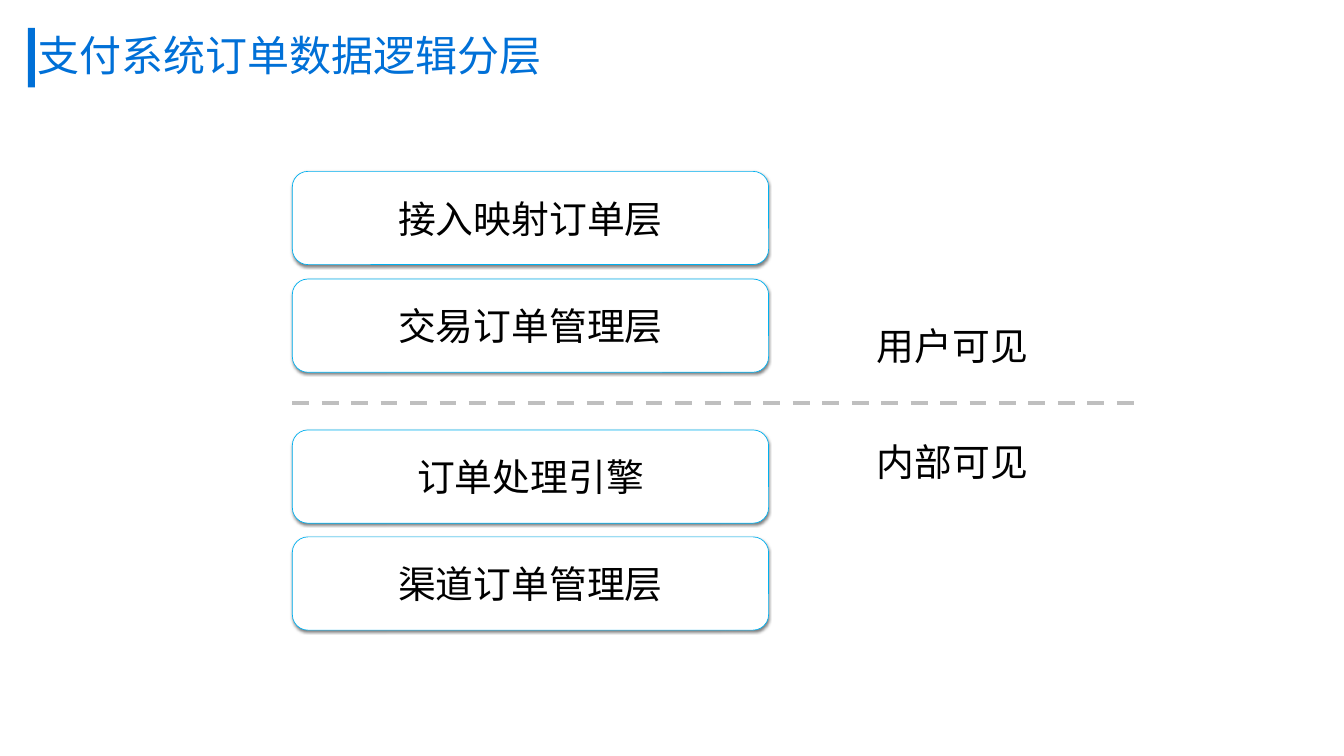
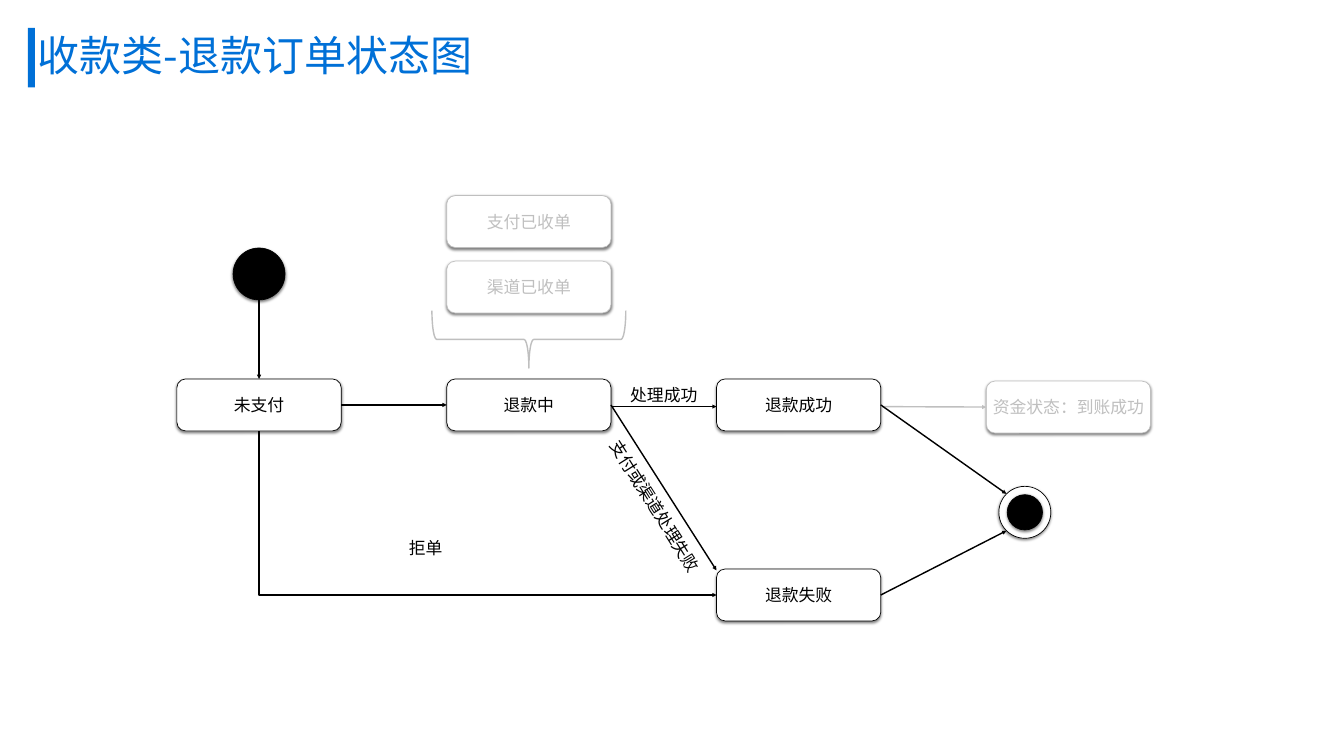
import lxml.etree
import pptx
import pptx.dml.color
import pptx.enum.dml
import pptx.enum.shapes
import pptx.enum.text
import pptx.oxml.ns
import pptx.util

Pt = pptx.util.Pt
SHAPE = pptx.enum.shapes.MSO_SHAPE
CONNECTOR = pptx.enum.shapes.MSO_CONNECTOR
ALIGN = pptx.enum.text.PP_ALIGN
ANCHOR = pptx.enum.text.MSO_ANCHOR
qn = pptx.oxml.ns.qn

FONT = "Noto Sans CJK SC"
COLORS = {
    "title": "0070D7",
    "layer": "00B0F0",
    "ink": "000000",
    "muted": "BFBFBF",
    "paper": "FFFFFF",
}
TITLE_SIZE, LAYER_SIZE, STATE_SIZE = 60, 54, 24
STATE_W, STATE_H = 234.7, 74.2
LEFT, BOTTOM, RIGHT = 1, 2, 3


def rgb(color):
    return pptx.dml.color.RGBColor.from_string(COLORS[color])


def write(frame, text, size, color, align=ALIGN.CENTER, anchor=ANCHOR.MIDDLE, inset=0):
    frame.word_wrap = True
    frame.vertical_anchor = anchor
    frame.margin_left = frame.margin_right = Pt(inset)
    frame.margin_top = frame.margin_bottom = Pt(inset)
    paragraph = frame.paragraphs[0]
    paragraph.alignment = align
    run = paragraph.add_run()
    run.text = text
    run.font.size = Pt(size)
    run.font.name = FONT
    run.font.color.rgb = rgb(color)
    east_asian = lxml.etree.SubElement(run.font._element, qn("a:ea"))
    east_asian.set("typeface", FONT)
    return paragraph


def add_label(slide, box, text, size, rotation=0):
    label = slide.shapes.add_textbox(*map(Pt, box))
    label.rotation = rotation
    write(label.text_frame, text, size, "ink")


def add_node(slide, kind, box, line="ink", fill="paper"):
    node = slide.shapes.add_shape(kind, *map(Pt, box))
    node.fill.solid()
    node.fill.fore_color.rgb = rgb(fill)
    node.line.color.rgb = rgb(line)
    node.line.width = Pt(1)
    node.shadow.inherit = False
    effects = node._element.spPr.find(qn("a:effectLst"))
    shadow = lxml.etree.SubElement(
        effects, qn("a:outerShdw"), blurRad=str(Pt(4)), dist=str(Pt(2)),
        dir="5400000", rotWithShape="0")
    tint = lxml.etree.SubElement(shadow, qn("a:srgbClr"), val=COLORS["ink"])
    lxml.etree.SubElement(tint, qn("a:alpha"), val="50000")
    return node


def style_line(connector, color, width, arrow=False):
    connector.line.color.rgb = rgb(color)
    connector.line.width = Pt(width)
    if arrow:
        lxml.etree.SubElement(connector.line._get_or_add_ln(), qn("a:tailEnd"), type="triangle")
    lxml.etree.SubElement(connector._element.spPr, qn("a:effectLst"))


def add_title(slide, text, width):
    bar = slide.shapes.add_shape(SHAPE.RECTANGLE, Pt(40), Pt(40), Pt(10), Pt(85))
    bar.fill.solid()
    bar.fill.fore_color.rgb = rgb("title")
    bar.line.fill.background()
    bar.shadow.inherit = False
    title = slide.shapes.add_textbox(Pt(47), Pt(42.5), Pt(width), Pt(80))
    paragraph = write(title.text_frame, text, TITLE_SIZE, "title",
                      ALIGN.LEFT, ANCHOR.TOP, 7.2)
    paragraph.line_spacing = 0.9


def add_layers(slide, box, names):
    left, top, width, height = box
    layer_height = 133.2
    pitch = (height - layer_height) / (len(names) - 1)
    for i, name in enumerate(names):
        layer = add_node(slide, SHAPE.FLOWCHART_ALTERNATE_PROCESS,
                         (left, top + i * pitch, width, layer_height), "layer")
        write(layer.text_frame, name, LAYER_SIZE, "ink")


def add_visibility(slide, box):
    left, divider_y, width, label_width = box
    divider = slide.shapes.add_connector(
        CONNECTOR.STRAIGHT, Pt(left), Pt(divider_y), Pt(left + width), Pt(divider_y))
    style_line(divider, "muted", 6)
    divider.line.dash_style = pptx.enum.dml.MSO_LINE.DASH
    for text, offset in (("用户可见", -121), ("内部可见", 44.6)):
        add_label(slide, (left + width - label_width, divider_y + offset, label_width, 77),
                  text, LAYER_SIZE)


def add_refund_states(slide, box):
    left, top, width, height = box
    pitch = (width - STATE_W) / 3
    main_row, fund_row, failed_row = 262, 265, height - STATE_H
    arrow_y = main_row + 39.5

    def place(x, y, w, h):
        return left + x, top + y, w, h

    def state(text, column, y, color="ink"):
        node = add_node(slide, SHAPE.ROUNDED_RECTANGLE,
                        place(column * pitch, y, STATE_W, STATE_H), color)
        write(node.text_frame, text, STATE_SIZE, color)
        return node

    def disc(center_x, center_y, size, fill):
        add_node(slide, SHAPE.OVAL, place(center_x - size / 2, center_y - size / 2, size, size),
                 fill=fill)

    def arrow(begin, end, color="ink"):
        link = slide.shapes.add_connector(CONNECTOR.STRAIGHT, 0, 0, 0, 0)
        if isinstance(begin[0], (int, float)):
            link.begin_x, link.begin_y = Pt(left + begin[0]), Pt(top + begin[1])
        else:
            link.begin_connect(*begin)
        if isinstance(end[0], (int, float)):
            link.end_x, link.end_y = Pt(left + end[0]), Pt(top + end[1])
        else:
            link.end_connect(*end)
        style_line(link, color, 2, arrow=True)

    def corner_arrow(begin_shape, end_shape):
        link = slide.shapes.add_connector(CONNECTOR.ELBOW, 0, 0, 0, 0)
        link.begin_connect(begin_shape, BOTTOM)
        link.end_connect(end_shape, LEFT)
        x, y, across, down = link.left, link.top, link.width, link.height
        link.left, link.top = x + (across - down) // 2, y + (down - across) // 2
        link.width, link.height = down, across
        frame = link._element.spPr.find(qn("a:xfrm"))
        frame.set("rot", "16200000")
        frame.set("flipH", "1")
        link._element.spPr.find(qn("a:prstGeom")).set("prst", "bentConnector2")
        style_line(link, "ink", 2, arrow=True)

    state("支付已收单", 1, 0, "muted")
    state("渠道已收单", 1, 93.6, "muted")
    unpaid = state("未支付", 0, main_row)
    refunding = state("退款中", 1, main_row)
    refunded = state("退款成功", 2, main_row)
    funds = state("资金状态：到账成功", 3, fund_row, "muted")
    failed = state("退款失败", 2, failed_row)

    start_x, start_y = STATE_W / 2, 112
    finish_x, finish_y = 1211.4, 452.5
    disc(start_x, start_y, STATE_H, "ink")
    disc(finish_x, finish_y, STATE_H, "paper")
    disc(finish_x, finish_y, 50.4, "ink")

    brace = slide.shapes.add_shape(
        SHAPE.RIGHT_BRACE, *map(Pt, place(pitch + STATE_W / 2 - 41, 67, 82, 277)))
    brace.rotation = 90
    brace.fill.background()
    brace.line.color.rgb = rgb("muted")
    brace.line.width = Pt(2)
    brace.shadow.inherit = False

    rim = STATE_H / 2 * 0.71
    arrow((start_x, start_y + STATE_H / 2), (unpaid, 0))
    arrow((unpaid, RIGHT), (refunding, LEFT))
    arrow((pitch + STATE_W, arrow_y), (2 * pitch, arrow_y))
    arrow((2 * pitch + STATE_W, arrow_y), (funds, LEFT), "muted")
    arrow((refunding, RIGHT), (2 * pitch, failed_row + 2))
    arrow((refunded, RIGHT), (finish_x - rim, finish_y - rim))
    arrow((failed, RIGHT), (finish_x - rim, finish_y + rim))
    corner_arrow(unpaid, failed)

    add_label(slide, place(549.4, 423.4, 268, 41), "支付或渠道处理失败", STATE_SIZE, 57.8)
    add_label(slide, place(592.6, 264.2, 206, 40), "处理成功", STATE_SIZE)
    add_label(slide, place(start_x, 483, 476, 40), "拒单", STATE_SIZE)


def main():
    deck = pptx.Presentation()
    deck.slide_width, deck.slide_height = Pt(1920), Pt(1080)
    blank = deck.slide_layouts[6]

    layering = deck.slides.add_slide(blank)
    add_title(layering, "支付系统订单数据逻辑分层", 741.6)
    add_layers(layering, (417.6, 244.8, 680.4, 287), ("接入映射订单层", "交易订单管理层"))
    add_layers(layering, (417.6, 614.2, 680.4, 286), ("订单处理引擎", "渠道订单管理层"))
    add_visibility(layering, (417.6, 576, 1206, 526.3))

    refund = deck.slides.add_slide(blank)
    add_title(refund, "收款类-退款订单状态图", 646.6)
    add_refund_states(refund, (252.7, 279.4, 1391, 607.7))

    deck.save("out.pptx")


if __name__ == "__main__":
    main()
